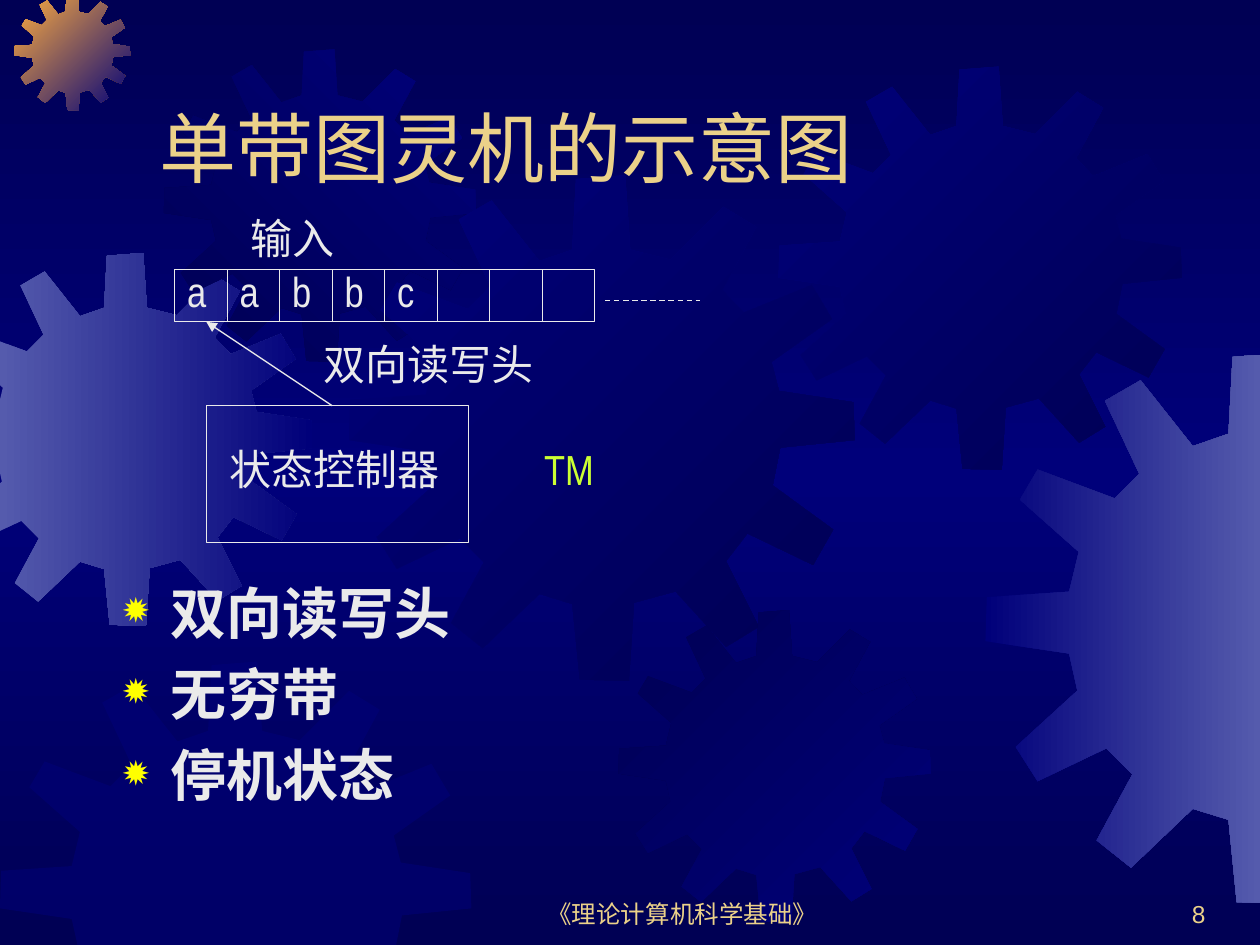
"""Build the slide that sketches a single-tape Turing machine."""
from copy import deepcopy
from dataclasses import dataclass

from lxml import etree
from pptx import Presentation
from pptx.dml.color import RGBColor
from pptx.enum import dml, shapes, text
from pptx.oxml.ns import qn
from pptx import util as u


@dataclass(frozen=True)
class Theme:
    navy: str = "000054"
    blue: str = "00007A"
    steel: str = "555BAD"
    orange: str = "FCAB40"
    gold: str = "EBD189"
    white: str = "EAEAEA"
    lime: str = "CCFF33"
    yellow: str = "FFFF00"
    font: str = "Arial"
    narrow: str = "Arial Narrow"
    title: int = 44
    body: int = 32
    label: int = 24
    footer: int = 14
    line: float = 0.75


theme = Theme()
COLUMNS, ROWS = 24, 18
deck = Presentation()
deck.slide_width, deck.slide_height = u.Inches(10), u.Inches(7.5)
unit = deck.slide_width / COLUMNS
page = deck.slides.add_slide(deck.slide_layouts[6])


def grid(*values):
    return [u.Emu(round(value * unit)) for value in values]


def write(content, *, at, size=theme.label, color=theme.white, font=theme.narrow, bold=False,
          align=text.PP_ALIGN.LEFT, anchor=text.MSO_ANCHOR.TOP, bullet=None, gap=0):
    box = page.shapes.add_textbox(*grid(*at))
    frame = box.text_frame
    frame.word_wrap = True
    frame.vertical_anchor = anchor
    for index, line in enumerate(content.split("\n")):
        para = frame.paragraphs[0] if index == 0 else frame.add_paragraph()
        para.alignment = align
        if index:
            para.space_before = u.Pt(gap)
        if bullet:
            layout = para._p.get_or_add_pPr()
            layout.set("marL", str(u.Inches(0.38)))
            layout.set("indent", str(-u.Inches(0.38)))
            tint = etree.SubElement(layout, qn("a:buClr"))
            etree.SubElement(tint, qn("a:srgbClr"), val=theme.yellow)
            etree.SubElement(layout, qn("a:buSzPct"), val="80000")
            etree.SubElement(layout, qn("a:buChar"), char=bullet)
        span = para.add_run()
        span.text = line
        span.font.name, span.font.size, span.font.bold = font, u.Pt(size), bold
        span.font.color.rgb = RGBColor.from_string(color)


backdrop = page.background.fill
backdrop.gradient()
backdrop.gradient_angle = 270
stop_list = page.element.find(".//" + qn("a:gsLst"))
stop_list.append(deepcopy(stop_list[-1]))
for stop, color, position in zip(backdrop.gradient_stops, (theme.navy, theme.blue, theme.navy), (0, 0.5, 1)):
    stop.color.rgb = RGBColor.from_string(color)
    stop.position = position

GEAR_SPAN = 401
GEAR = [
    (255, 67), (223, 59), (219, 0), (180, 3), (177, 59), (151, 68), (113, 20), (87, 35),
    (112, 88), (94, 106), (38, 85), (25, 107), (68, 145), (61, 174), (1, 178), (0, 210),
    (61, 219), (67, 246), (22, 287), (38, 312), (88, 288), (107, 307), (81, 355), (106, 375),
    (151, 332), (177, 340), (183, 400), (222, 401), (226, 339), (259, 330), (299, 374), (325, 358),
    (299, 306), (316, 284), (368, 309), (384, 281), (336, 246), (342, 216), (401, 210), (400, 180),
    (341, 171), (335, 148), (383, 114), (367, 87), (313, 109), (296, 91), (323, 41), (297, 25),
]
gears = [
    (-1.15, 4.82, 7.1, theme.steel, theme.blue, 0),
    (0.28, -0.1, 2.2, theme.orange, theme.blue, 45),
    (3.12, 0.94, 5.95, theme.navy, theme.blue, 315),
    (6.65, 3.34, 9.63, theme.blue, theme.navy, 45),
    (0, 12.6, 8.98, theme.blue, None, 0),
    (11.78, 11.62, 5.95, theme.navy, theme.blue, 45),
    (14.83, 1.27, 7.68, theme.blue, theme.navy, 45),
    (18.77, 6.72, 10.49, theme.blue, theme.steel, 0),
]
slide_edges = [(0, 0, 1), (0, COLUMNS, -1), (1, 0, 1), (1, ROWS, -1)]
for left, top, diameter, first, last, angle in gears:
    outline = [(left + x * diameter / GEAR_SPAN, top + y * diameter / GEAR_SPAN) for x, y in GEAR]
    for axis, limit, side in slide_edges:
        kept = []
        for start, end in zip(outline[-1:] + outline[:-1], outline):
            before, after = ((point[axis] - limit) * side for point in (start, end))
            if (before >= 0) != (after >= 0):
                share = before / (before - after)
                kept.append(tuple(a + (b - a) * share for a, b in zip(start, end)))
            if after >= 0:
                kept.append(end)
        outline = kept
    points = [grid(*point) for point in outline]
    builder = page.shapes.build_freeform(*points[0])
    builder.add_line_segments(points[1:], close=True)
    gear = builder.convert_to_shape()
    gear.shadow.inherit = False
    gear.line.fill.background()
    if last:
        gear.fill.gradient()
        gear.fill.gradient_angle = (360 - angle) % 360
        for stop, color in zip(gear.fill.gradient_stops, (first, last)):
            stop.color.rgb = RGBColor.from_string(color)
    else:
        gear.fill.solid()
        gear.fill.fore_color.rgb = RGBColor.from_string(first)
        tint = gear._element.spPr.find(".//" + qn("a:srgbClr"))
        etree.SubElement(tint, qn("a:alpha"), val="50000")

footer = dict(size=theme.footer, color=theme.gold, font=theme.font, anchor=text.MSO_ANCHOR.BOTTOM)
write("《理论计算机科学基础》", at=(9.2, 16.6, 7.6, 1.2), align=text.PP_ALIGN.CENTER, **footer)
write("8", at=(18.2, 16.6, 5, 1.2), align=text.PP_ALIGN.RIGHT, **footer)
write("单带图灵机的示意图", at=(2.8, 0.8, 20.4, 3), size=theme.title, color=theme.gold,
      font=theme.font, anchor=text.MSO_ANCHOR.BOTTOM)
write("双向读写头\n无穷带\n停机状态", at=(2.1, 10.9, 9.8, 5.28), size=theme.body,
      font=theme.font, bold=True, bullet="✹", gap=8)

TAPE_LEFT, TAPE_TOP, CELLS = 3.33, 5.13, 8
controller = (3.93, 7.73, 5, 2.6)
tape = [(TAPE_LEFT + index, TAPE_TOP, 1, 1) for index in range(CELLS)]
for place in [controller, *tape]:
    frame_box = page.shapes.add_shape(shapes.MSO_SHAPE.RECTANGLE, *grid(*place))
    frame_box.shadow.inherit = False
    frame_box.fill.background()
    frame_box.line.color.rgb = RGBColor.from_string(theme.white)
    frame_box.line.width = u.Pt(theme.line)

for index, symbol in enumerate("aabbc"):
    write(symbol, at=(TAPE_LEFT + index, TAPE_TOP - 0.2, 1, 1.2))
write("输入", at=(4.53, 3.93, 2.2, 1.2))
write("双向读写头", at=(5.93, 6.33, 5, 1.2))
write("状态控制器", at=(4.13, 8.33, 4.6, 1.2))
write("TM", at=(10.13, 8.33, 1.8, 1.2), color=theme.lime)

head_arrow, tape_rest = (6.33, 7.73, 3.93, 6.13), (11.53, 5.73, 13.33, 5.73)
for ends in (head_arrow, tape_rest):
    link = page.shapes.add_connector(shapes.MSO_CONNECTOR.STRAIGHT, *grid(*ends))
    link.line.color.rgb = RGBColor.from_string(theme.white)
    link.line.width = u.Pt(theme.line)
    if ends == tape_rest:
        link.line.dash_style = dml.MSO_LINE.DASH
    else:
        etree.SubElement(link.line._get_or_add_ln(), qn("a:tailEnd"), type="triangle")
    etree.SubElement(link._element.spPr, qn("a:effectLst"))

deck.save("out.pptx")
